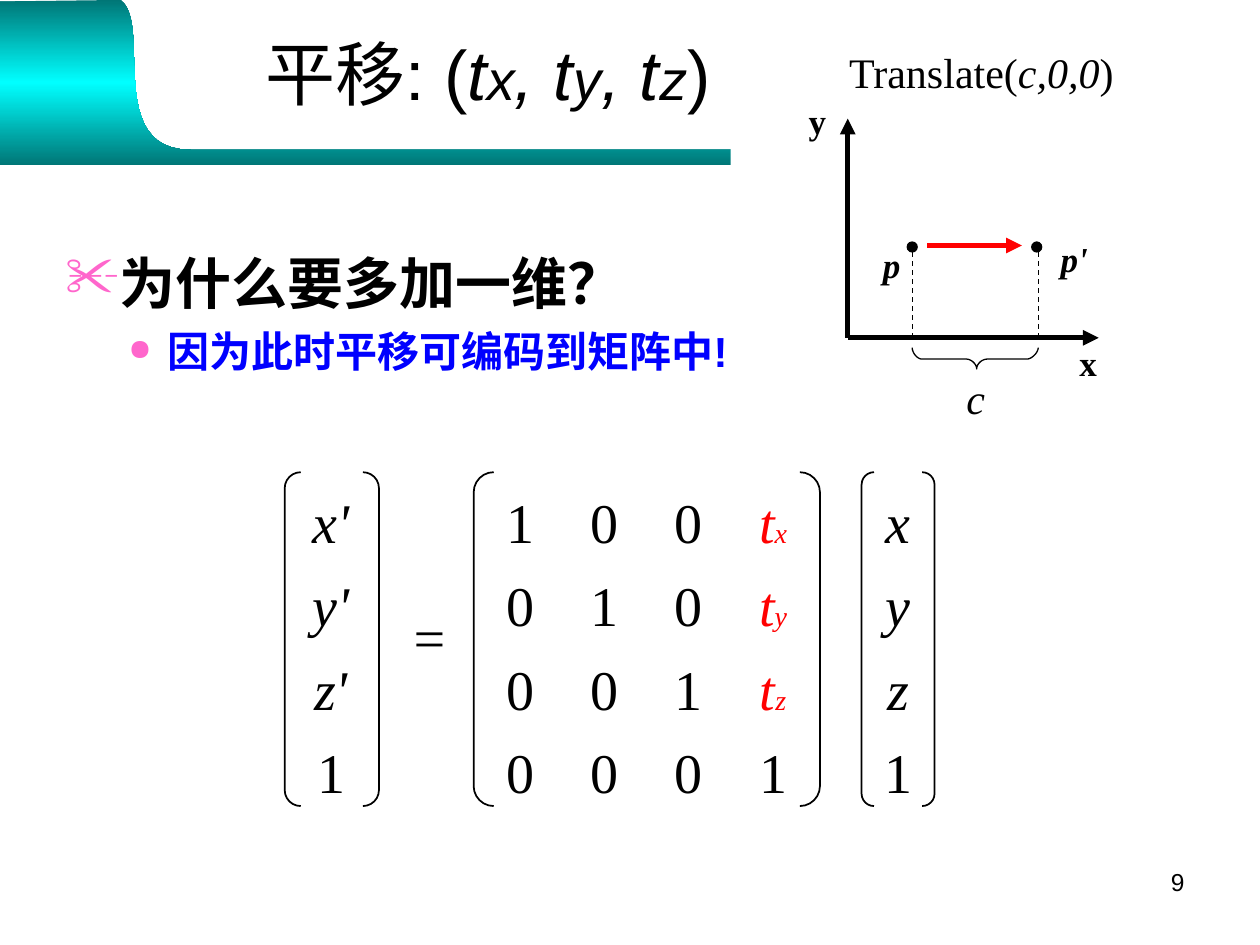
import copy
import dataclasses

import lxml.etree
import pptx
import pptx.dml.color
import pptx.enum.dml
import pptx.enum.shapes
import pptx.enum.text
import pptx.oxml.ns
import pptx.util

Cm, Pt = pptx.util.Cm, pptx.util.Pt
RGB = pptx.dml.color.RGBColor.from_string
SHAPE = pptx.enum.shapes.MSO_SHAPE
ALIGN = pptx.enum.text.PP_ALIGN
ANCHOR = pptx.enum.text.MSO_ANCHOR
qn = pptx.oxml.ns.qn


@dataclasses.dataclass(frozen=True)
class Theme:
    sans: str = "Arial"
    serif: str = "Times New Roman"
    ink: str = "000000"
    paper: str = "FFFFFF"
    red: str = "FF0000"
    blue: str = "0000FF"
    pink: str = "FF66CC"
    teal: str = "007676"
    cyan: str = "00FFFF"
    title: int = 40
    large: int = 32
    medium: int = 24
    axis: int = 20
    subscript: int = 16
    page: int = 14


theme = Theme()
deck = pptx.Presentation()
deck.slide_width, deck.slide_height = Cm(25.4), Cm(19.05)
slide = deck.slides.add_slide(deck.slide_layouts[6])


def write(place, lines, size, face=theme.serif, color=theme.ink, bold=False,
          italic=False, align=ALIGN.LEFT, gap=0, inset=(0.25, 0.13)):
    frame = slide.shapes.add_textbox(*map(Cm, place)).text_frame
    frame.word_wrap = True
    frame.margin_left = frame.margin_right = Cm(inset[0])
    frame.margin_top = frame.margin_bottom = Cm(inset[1])
    for row, runs in enumerate(lines):
        paragraph = frame.paragraphs[0] if row == 0 else frame.add_paragraph()
        paragraph.alignment = align
        paragraph.space_before = Pt(gap if row else 0)
        paragraph.font.name, paragraph.font.size = face, Pt(size)
        paragraph.font.bold, paragraph.font.italic = bold, italic
        paragraph.font.color.rgb = RGB(color)
        for words, changes in runs:
            run = paragraph.add_run()
            run.text = words
            for key, value in changes.items():
                if key == "color":
                    run.font.color.rgb = RGB(value)
                else:
                    setattr(run.font, key, value)
    return frame


def outline(start, segments, close):
    points = [start]
    for segment in segments:
        if len(segment) == 1:
            points.append(segment[0])
            continue
        a, (b, c, d) = points[-1], segment
        for step in range(1, 25):
            t = step / 24
            weights = (1 - t) ** 3, 3 * t * (1 - t) ** 2, 3 * t * t * (1 - t), t ** 3
            points.append(tuple(sum(w * p[axis] for w, p in zip(weights, (a, b, c, d)))
                                for axis in (0, 1)))
    points = [(Cm(x), Cm(y)) for x, y in points]
    builder = slide.shapes.build_freeform(*points[0])
    builder.add_line_segments(points[1:], close=close)
    shape = builder.convert_to_shape()
    shape.shadow.inherit = False
    return shape


banner = outline((25.4, 3.33), [
    [(0, 3.33)], [(0, 0.03)], [(2.44, 0)],
    [(3.07, 0.51), (2.11, 3.02), (3.84, 3.02)], [(25.4, 3.02)]], True)
banner.line.fill.background()
banner.fill.gradient()
banner.fill.gradient_angle = 270
stops = banner._element.find(".//" + qn("a:gsLst"))
stops.insert(1, copy.deepcopy(stops[0]))
for stop, position, color in zip(banner.fill.gradient_stops, (0, 0.5, 1),
                                 (theme.teal, theme.cyan, theme.teal)):
    stop.position, stop.color.rgb = position, RGB(color)

diagram_ground = slide.shapes.add_shape(SHAPE.RECTANGLE, Cm(14.73), Cm(0.48), Cm(10.67), Cm(4.09))
diagram_ground.shadow.inherit = False
diagram_ground.fill.solid()
diagram_ground.fill.fore_color.rgb = RGB(theme.paper)
diagram_ground.line.fill.background()

slanted, small = {"italic": True}, {"italic": True, "size": Pt(theme.large)}
heading = write((1.27, 0, 17.14, 2.92), [[
    ("平移: (", {}), ("t", slanted), ("x", small), (", t", slanted), ("y", small),
    (", t", slanted), ("z", small), (")", {})]],
    theme.title, theme.sans, align=ALIGN.CENTER)
heading.vertical_anchor = ANCHOR.MIDDLE
write((18.21, 17.35, 5.92, 1.32), [[("9", {})]], theme.page, theme.sans, align=ALIGN.RIGHT)

argument = slide.shapes.add_textbox(Cm(1.07), Cm(4.88), Cm(22.86), Cm(12.57)).text_frame
argument.word_wrap = True
points = [("为什么要多加一维？", theme.large, theme.ink, "✂", 100, 0.97, 0.97, 0),
          ("因为此时平移可编码到矩阵中!", theme.medium, theme.blue, "●", 70, 2.06, 0.79, 6)]
for level, (words, size, color, mark, scale, margin, hang, gap) in enumerate(points):
    point = argument.add_paragraph() if level else argument.paragraphs[0]
    point.text, point.level, point.space_before = words, level, Pt(gap)
    properties = point._p.get_or_add_pPr()
    properties.set("marL", str(Cm(margin)))
    properties.set("indent", str(-Cm(hang)))
    tint = lxml.etree.SubElement(properties, qn("a:buClr"))
    lxml.etree.SubElement(tint, qn("a:srgbClr"), val=theme.pink)
    lxml.etree.SubElement(properties, qn("a:buSzPct"), val=str(scale * 1000))
    lxml.etree.SubElement(properties, qn("a:buChar"), char=mark)
    point.font.name, point.font.size, point.font.bold = theme.sans, Pt(size), True
    point.font.color.rgb = RGB(color)

for left, width, curve in ((5.74, 1.9, 0.17), (9.55, 6.98, 0.06), (17.37, 1.47, 0.17)):
    bracket = slide.shapes.add_shape(SHAPE.DOUBLE_BRACKET, Cm(left), Cm(9.52), Cm(width), Cm(6.73))
    bracket.adjustments[0] = curve
    bracket.shadow.inherit = False
    bracket.fill.background()
    bracket.line.color.rgb, bracket.line.width = RGB(theme.ink), Pt(1)

offset = {"italic": True, "color": theme.red}
index = {**offset, "size": Pt(theme.subscript)}
matrix = [[[(str(int(row == column)), {})] for row in range(4)] for column in range(3)]
matrix.append([[("t", offset), (axis, index)] for axis in "xyz"] + [[("1", {})]])
columns = [(9.75 + 1.7 * place, cells) for place, cells in enumerate(matrix)]
for left, prime in ((5.94, "'"), (17.37, "")):
    columns.append((left, [[(axis + prime, slanted)] for axis in "xyz"] + [[("1", {})]]))
for left, cells in columns:
    write((left, 9.82, 1.47, 6.25), cells, theme.large, align=ALIGN.CENTER, gap=9.3, inset=(0, 0))
write((8.28, 12.14, 0.84, 1.35), [[("=", {})]], theme.large, italic=True, inset=(0, 0))

for left in (18.29, 20.8):
    dot = slide.shapes.add_shape(SHAPE.OVAL, Cm(left), Cm(4.88), Cm(0.2), Cm(0.2))
    dot.shadow.inherit = False
    dot.fill.solid()
    dot.fill.fore_color.rgb = dot.line.color.rgb = RGB(theme.ink)
    dot.line.width = Pt(0.75)

for ends, color, arrow in (
        ((17.09, 6.81, 17.09, 2.39), theme.ink, True),
        ((17.09, 6.81, 22.15, 6.81), theme.ink, True),
        ((18.69, 4.95, 20.6, 4.95), theme.red, True),
        ((18.39, 4.9, 18.39, 6.81), theme.ink, False),
        ((20.93, 4.9, 20.93, 6.81), theme.ink, False)):
    stroke = slide.shapes.add_connector(pptx.enum.shapes.MSO_CONNECTOR.STRAIGHT, *map(Cm, ends))
    stroke.line.color.rgb = RGB(color)
    stroke.line.width = Pt(3 if arrow else 0.75)
    if arrow:
        lxml.etree.SubElement(stroke.line._get_or_add_ln(), qn("a:tailEnd"), type="triangle")
    else:
        stroke.line.dash_style = pptx.enum.dml.MSO_LINE.DASH
    lxml.etree.SubElement(stroke._element.spPr, qn("a:effectLst"))

brace = outline((18.39, 7.01), [
    [(18.39, 7.11), (18.49, 7.24), (18.59, 7.24)], [(19.48, 7.24)],
    [(19.58, 7.24), (19.69, 7.34), (19.69, 7.44)],
    [(19.69, 7.34), (19.79, 7.24), (19.91, 7.24)], [(20.7, 7.24)],
    [(20.8, 7.24), (20.93, 7.11), (20.93, 7.01)]], False)
brace.fill.background()
brace.line.color.rgb, brace.line.width = RGB(theme.ink), Pt(0.75)

write((16.87, 0.81, 6.58, 1.27), [[("Translate(", {}), ("c,0,0", slanted), (")", {})]], theme.medium)
for words, left, top, width, italic in (
        ("x", 21.51, 6.76, 0.84, False), ("y", 16.05, 1.88, 0.84, False),
        ("p", 17.55, 4.78, 0.84, True), ("p'", 21.13, 4.65, 1.27, True)):
    write((left, top, width, 1.12), [[(words, {})]], theme.axis, bold=True, italic=italic)
write((19.23, 7.37, 1.27, 1.27), [[("c", {})]], theme.medium, italic=True)

deck.save("out.pptx")
